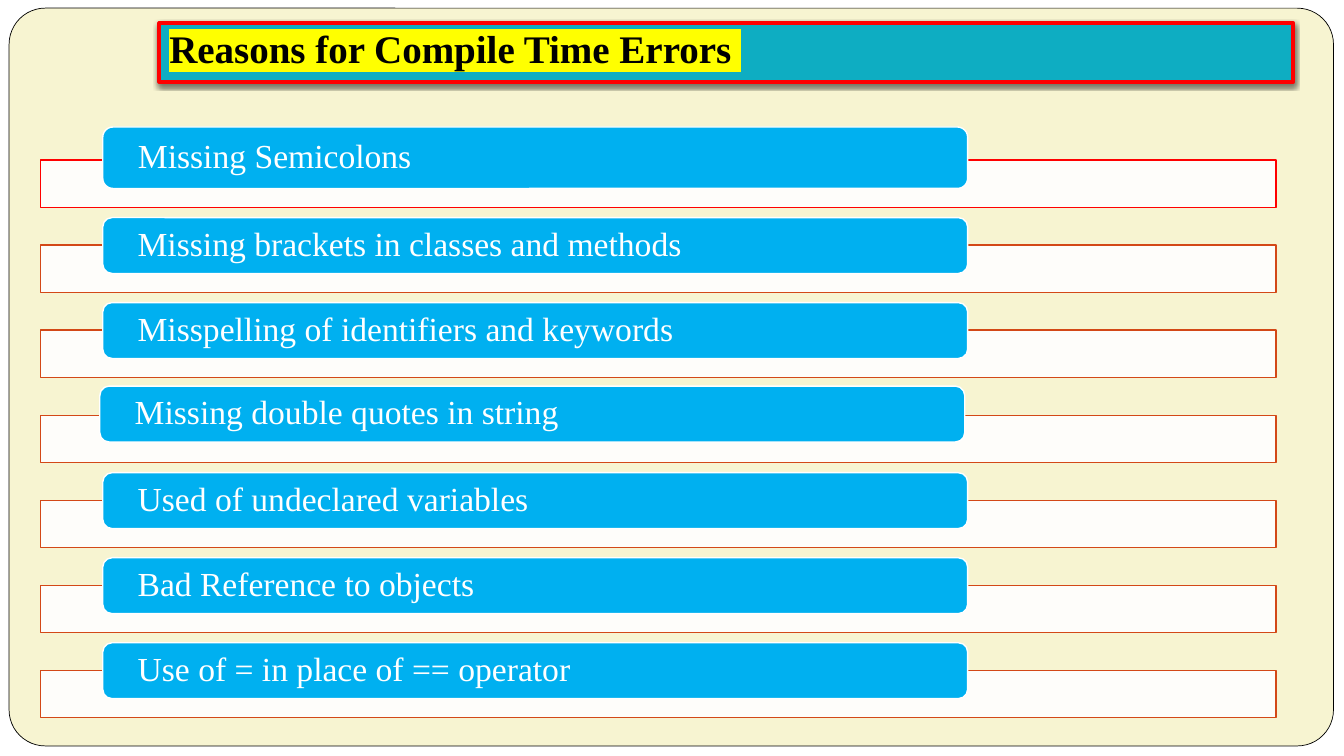
from lxml import etree
from pptx import Presentation
from pptx.dml.color import RGBColor
from pptx.enum.shapes import MSO_SHAPE
from pptx.enum.text import MSO_ANCHOR, PP_ALIGN
from pptx.oxml.ns import qn
from pptx.util import Pt

RECTANGLE = MSO_SHAPE.RECTANGLE
ROUNDED = MSO_SHAPE.ROUNDED_RECTANGLE
MIDDLE = MSO_ANCHOR.MIDDLE
BOTTOM = MSO_ANCHOR.BOTTOM
LEFT = PP_ALIGN.LEFT

WHITE = RGBColor(0xFF, 0xFF, 0xFF)
BLACK = RGBColor(0x00, 0x00, 0x00)
CREAM = RGBColor(0xF7, 0xF4, 0xD1)
TEAL = RGBColor(0x0E, 0xAD, 0xC2)
RED = RGBColor(0xFF, 0x00, 0x00)
RUST = RGBColor(0xD3, 0x48, 0x17)
SKY = RGBColor(0x00, 0xB0, 0xF0)
YELLOW = RGBColor(0xFF, 0xFF, 0x00)

REASONS = [
    "Missing Semicolons",
    "Missing brackets in classes and methods",
    "Misspelling of identifiers and keywords",
    "Missing double quotes in string",
    "Used of undeclared variables",
    "Bad Reference to objects",
    "Use of = in place of == operator",
]
BAND_TOP = 114.4
BAND_STEP = 60.74
PILL_RISE = 19.7
PILL_HEIGHT = 39.9


def write_text(shape, text, size, color, insets, anchor=MIDDLE, bold=False,
               spacing=None, highlight=None):
    frame = shape.text_frame
    frame.word_wrap = True
    frame.vertical_anchor = anchor
    frame.margin_left, frame.margin_top, frame.margin_right, frame.margin_bottom = map(Pt, insets)
    paragraph = frame.paragraphs[0]
    paragraph.alignment = LEFT
    paragraph.line_spacing = spacing
    run = paragraph.add_run()
    run.text = text
    run.font.name = "Times New Roman"
    run.font.size = Pt(size)
    run.font.bold = bold
    run.font.color.rgb = color
    if highlight is not None:
        marker = etree.Element(qn("a:highlight"))
        etree.SubElement(marker, qn("a:srgbClr"), val=str(highlight))
        run.font._element.find(qn("a:solidFill")).addnext(marker)


class ReasonsSlide:
    """Draws the parts of a framed slide that lists reasons."""

    def __init__(self, presentation):
        self.slide = presentation.slides.add_slide(presentation.slide_layouts[6])
        background = self.slide.background.fill
        background.solid()
        background.fore_color.rgb = WHITE

    def box(self, kind, left, top, width, height, fill, line, line_width):
        shape = self.slide.shapes.add_shape(kind, Pt(left), Pt(top), Pt(width), Pt(height))
        shape.shadow.inherit = False
        shape.fill.solid()
        shape.fill.fore_color.rgb = fill
        shape.line.color.rgb = line
        shape.line.width = Pt(line_width)
        return shape

    def panel(self):
        panel = self.box(ROUNDED, 6.5, 5.8, 946, 527, CREAM, BLACK, 0.5)
        panel.adjustments[0] = 0.049

    def title(self, text):
        title = self.box(RECTANGLE, 113.8, 16.6, 810, 41.8, TEAL, RED, 3)
        effects = title._element.spPr.find(qn("a:effectLst"))
        shadow = etree.SubElement(effects, qn("a:outerShdw"), blurRad=str(Pt(3)),
                                  dist=str(Pt(2)), dir="5400000", rotWithShape="0")
        color = etree.SubElement(shadow, qn("a:srgbClr"), val=str(BLACK))
        etree.SubElement(color, qn("a:alpha"), val="50000")
        write_text(title, text, 27.9, BLACK, (7.2, 3.6, 7.2, 7.2),
                   anchor=BOTTOM, bold=True, highlight=YELLOW)

    def band(self, top, line):
        band = self.box(RECTANGLE, 28.8, top, 882.7, 33.8, WHITE, line, 1)
        color = band._element.spPr.find(qn("a:solidFill"))[0]
        etree.SubElement(color, qn("a:alpha"), val="90000")

    def pill(self, text, left, top, height):
        pill = self.box(ROUNDED, left, top, 617.8, height, SKY, WHITE, 1)
        write_text(pill, text, 24, WHITE, (23, 0, 23, 0), spacing=0.9)


def main():
    presentation = Presentation()
    presentation.slide_width = Pt(960)
    presentation.slide_height = Pt(540)
    page = ReasonsSlide(presentation)
    page.panel()
    page.title("Reasons for Compile Time Errors ")
    first_pill = (73.4, 90.7, 43.9)
    fourth_pill = (71.3, 275.8, PILL_HEIGHT)
    special_pills = {0: first_pill, 3: fourth_pill}
    for index, reason in enumerate(REASONS):
        top = BAND_TOP + index * BAND_STEP
        page.band(top, RED if index == 0 else RUST)
        place = special_pills.get(index, (73.4, top - PILL_RISE, PILL_HEIGHT))
        page.pill(reason, *place)
    presentation.save("out.pptx")


if __name__ == "__main__":
    main()
